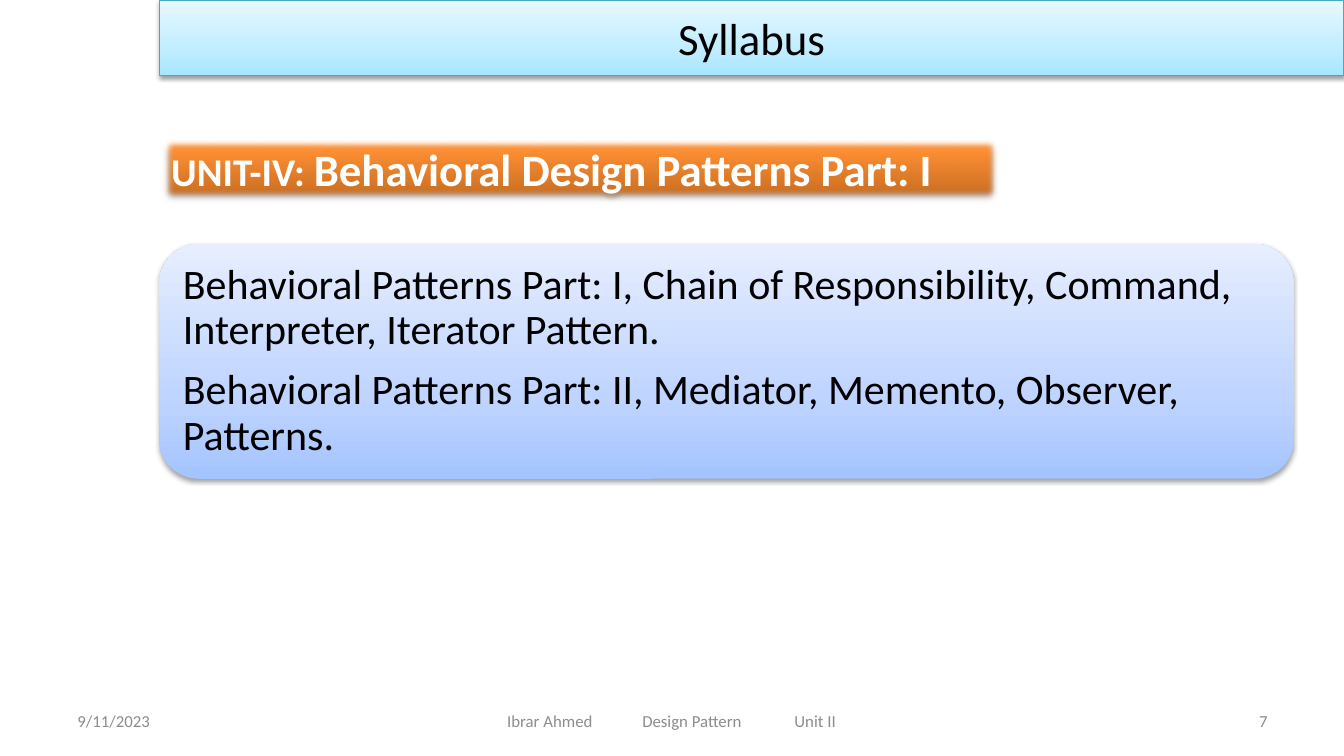
import pptx
import pptx.util
import pptx.oxml
import pptx.dml.color
import pptx.enum.shapes
import pptx.enum.text
import pptx.oxml.ns

Inches = pptx.util.Inches
Pt = pptx.util.Pt
Kind = pptx.enum.shapes.MSO_SHAPE
Align = pptx.enum.text.PP_ALIGN
Anchor = pptx.enum.text.MSO_ANCHOR
NS = pptx.oxml.ns.nsdecls("a")


def paint(code):
    return pptx.dml.color.RGBColor.from_string(code)


def style(para, size, color, align=Align.LEFT, bold=False):
    para.alignment = align
    font = para.font
    font.name, font.size, font.bold = "Calibri", Pt(size), bold
    font.color.rgb = paint(color)


def shade(shape, stops):
    """Fill with a gradient whose first stop lies at the bottom."""
    marks = "".join(
        f'<a:gs pos="{pos * 1000}"><a:srgbClr val="{color}"/></a:gs>'
        for pos, color in stops)
    shape.fill.background()
    props = shape.fill._xPr
    blank = props.find(pptx.oxml.ns.qn("a:noFill"))
    props.replace(blank, pptx.oxml.parse_xml(
        f'<a:gradFill {NS} rotWithShape="1"><a:gsLst>{marks}</a:gsLst>'
        '<a:lin ang="16200000" scaled="0"/></a:gradFill>'))


def cast(shape, drop, alpha, soft=0):
    """Add a shadow below the shape and, if asked, soft edges."""
    shape.shadow.inherit = False
    props = shape.fill._xPr
    effects = props.find(pptx.oxml.ns.qn("a:effectLst"))
    effects.append(pptx.oxml.parse_xml(
        f'<a:outerShdw {NS} blurRad="{Pt(3.1)}" dist="{Pt(drop)}" '
        'dir="5400000" rotWithShape="0"><a:srgbClr val="000000">'
        f'<a:alpha val="{alpha * 1000}"/></a:srgbClr></a:outerShdw>'))
    if soft:
        effects.append(pptx.oxml.parse_xml(
            f'<a:softEdge {NS} rad="{Pt(soft)}"/>'))


def panel(slide, kind, box, stops, drop=1.6, alpha=38, soft=0):
    shape = slide.shapes.add_shape(kind, *map(Inches, box))
    shade(shape, stops)
    shape.line.fill.background()
    cast(shape, drop, alpha, soft)
    shape.text_frame.word_wrap = True
    return shape


def footer(slide, left, width, text, align=Align.LEFT, tabs=()):
    box = slide.shapes.add_textbox(
        Inches(left), Inches(6.95), Inches(width), Inches(0.4))
    frame = box.text_frame
    frame.word_wrap = True
    frame.vertical_anchor = Anchor.MIDDLE
    para = frame.paragraphs[0]
    para.text = text
    if tabs:
        stops = "".join(
            f'<a:tab pos="{Inches(tab)}" algn="l"/>' for tab in tabs)
        para._p.get_or_add_pPr().append(pptx.oxml.parse_xml(
            f'<a:tabLst {NS}>{stops}</a:tabLst>'))
    style(para, 12, "8C8C8C", align)
    return frame


def title(slide):
    bar = panel(slide, Kind.RECTANGLE, (1.58, 0, 11.75, 0.75),
                [(0, "A7E6FF"), (35, "C1EDFF"), (100, "E7F8FF")])
    bar.line.color.rgb = paint("46AAC5")
    bar.line.width = Pt(0.75)
    para = bar.text_frame.paragraphs[0]
    para.text = "Syllabus"
    style(para, 32, "000000", Align.CENTER)


def unit(slide):
    label = panel(slide, Kind.RECTANGLE, (1.6, 1.36, 8.31, 0.64),
                  [(0, "C2691F"), (80, "FF9034"), (100, "FF9136")],
                  drop=1.8, alpha=35, soft=5)
    frame = label.text_frame
    frame.vertical_anchor = Anchor.TOP
    frame.auto_size = pptx.enum.text.MSO_AUTO_SIZE.SHAPE_TO_FIT_TEXT
    para = frame.paragraphs[0]
    style(para, 32, "FFFFFF", Align.JUSTIFY, bold=True)
    for text, size in (("UNIT-IV: ", 28),
                       ("Behavioral Design Patterns Part: I", 32)):
        run = para.add_run()
        run.text = text
        run.font.size = Pt(size)


def topics(slide, lines):
    card = panel(slide, Kind.ROUNDED_RECTANGLE, (1.58, 2.42, 11.25, 2.33),
                 [(0, "A4C4FF"), (35, "BFD4FF"), (100, "E6EEFF")])
    frame = card.text_frame
    frame.vertical_anchor = Anchor.MIDDLE
    frame.margin_left = frame.margin_right = Inches(0.12)
    frame.margin_top = frame.margin_bottom = Inches(0.12)
    frame.text = "\n".join(lines)
    for para in frame.paragraphs:
        para.line_spacing = 0.9
        para.space_after = Pt(10.5)
        style(para, 30, "000000")


def main():
    deck = pptx.Presentation()
    deck.slide_width, deck.slide_height = Inches(13.33), Inches(7.5)
    slide = deck.slides.add_slide(deck.slide_layouts[6])

    # Heading and unit
    title(slide)
    unit(slide)

    # Topics of the unit
    topics(slide, [
        "Behavioral Patterns Part: I, Chain of Responsibility, Command, "
        "Interpreter, Iterator Pattern.",
        "Behavioral Patterns Part: II, Mediator, Memento, Observer, "
        "Patterns."])

    # Footer: date, course, page
    footer(slide, 0.67, 3.11, "9/11/2023")
    course = footer(slide, 4.56, 4.22, "Ibrar Ahmed\tDesign Pattern\tUnit II",
                    tabs=(1.34, 2.85))
    course.margin_left = Inches(0.47)
    footer(slide, 9.56, 3.11, "7", Align.RIGHT)

    deck.save("out.pptx")


if __name__ == "__main__":
    main()
